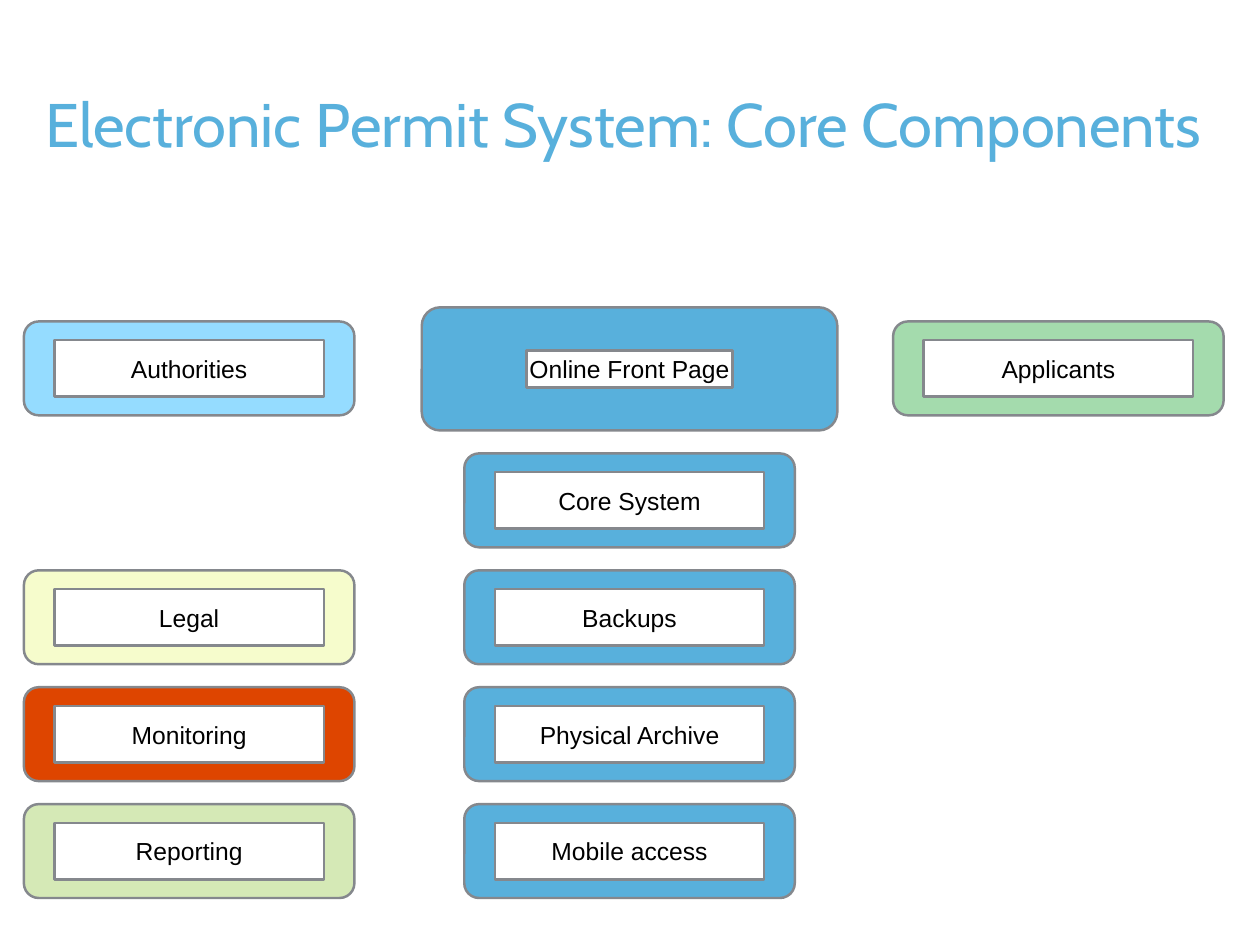
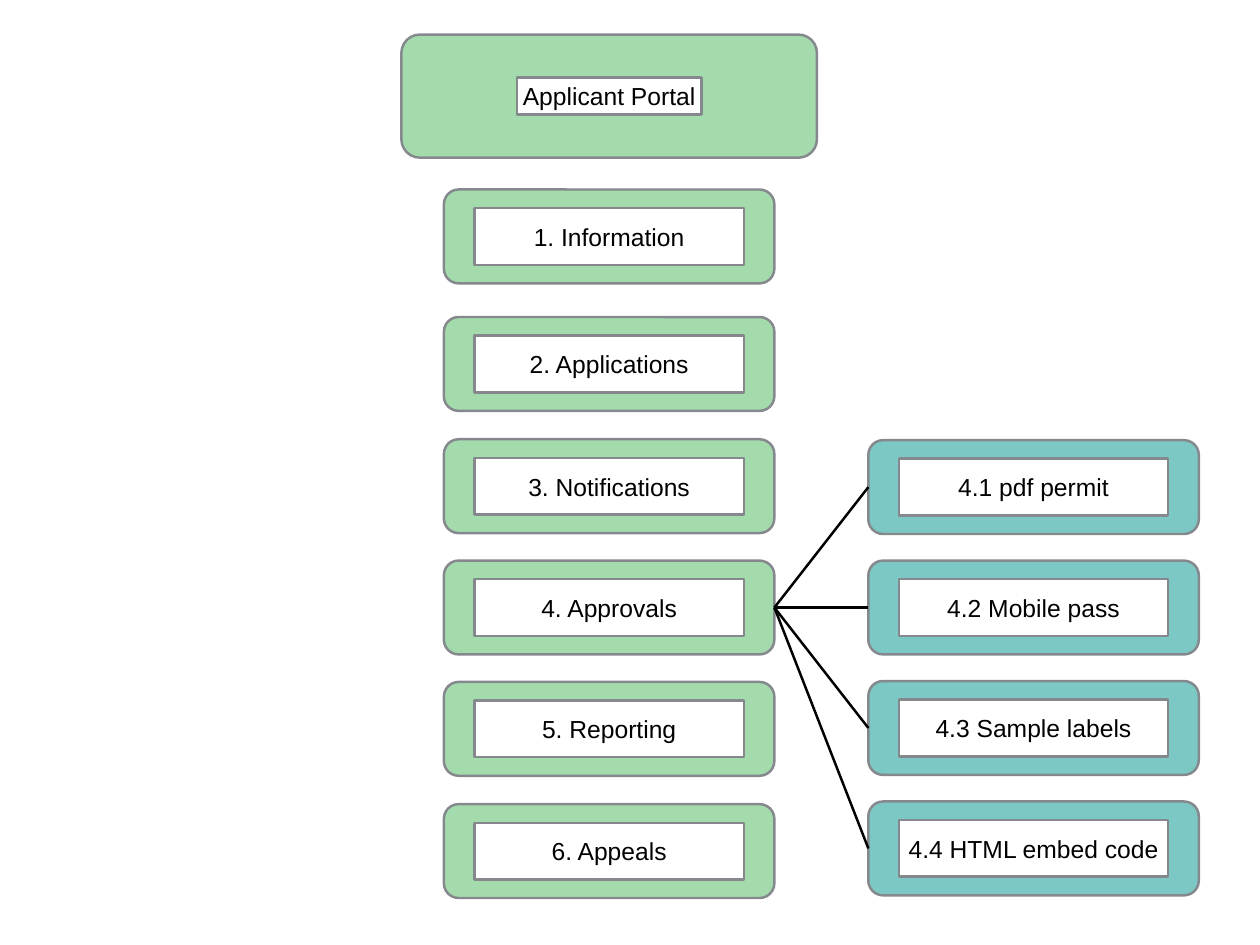
from lxml import etree
from pptx import Presentation
from pptx.dml.color import RGBColor
from pptx.enum.shapes import MSO_CONNECTOR, MSO_SHAPE
from pptx.enum.text import MSO_ANCHOR, PP_ALIGN
from pptx.oxml.ns import qn
from pptx.util import Inches, Pt

RECT, ROUND = MSO_SHAPE.RECTANGLE, MSO_SHAPE.ROUNDED_RECTANGLE
STRAIGHT = MSO_CONNECTOR.STRAIGHT
LEFT, CENTER, MIDDLE = PP_ALIGN.LEFT, PP_ALIGN.CENTER, MSO_ANCHOR.MIDDLE
LEFT_SIDE, RIGHT_SIDE = 1, 3

BLUE, SKY, GREEN, TEAL = "58B0DC", "95DCFF", "A4DBAD", "7BC8C5"
CREAM, ORANGE, LIME = "F6FCCC", "DE4500", "D5E9B6"
GREY, WHITE, BLACK = "85888D", "FFFFFF", "000000"


def rgb(value):
    return RGBColor.from_string(value)


class Deck:
    """Holds the shared style and the current slide."""

    BODY_FONT, TITLE_FONT = "Arial", "Cabin"
    BODY_SIZE, TITLE_SIZE, LINE_WIDTH = 20, 50, 2
    INSET = 0.03
    CARD = (3.73, 1.06)
    CARD_LABEL = (3.04, 0.64)
    BANNER = (4.69, 1.39)

    def __init__(self, width, height):
        self.prs = Presentation()
        self.prs.slide_width, self.prs.slide_height = Inches(width), Inches(height)
        self.s = None

    def new_slide(self):
        self.s = self.prs.slides.add_slide(self.prs.slide_layouts[6])

    def set_text(self, sp, text, font, size, color, align, wrap):
        tf = sp.text_frame
        tf.word_wrap = wrap
        tf.vertical_anchor = MIDDLE
        tf.margin_left = tf.margin_right = Inches(self.INSET)
        tf.margin_top = tf.margin_bottom = Inches(self.INSET)
        p = tf.paragraphs[0]
        p.text = text
        p.alignment = align
        r = p.runs[0]
        r.font.name, r.font.size = font, Pt(size)
        r.font.color.rgb = rgb(color)
        return p

    def title(self, text, x, y, w, h):
        sp = self.s.shapes.add_textbox(Inches(x), Inches(y), Inches(w), Inches(h))
        p = self.set_text(sp, text, self.TITLE_FONT, self.TITLE_SIZE, BLUE, LEFT, False)
        p.line_spacing = 0.9

    def outlined(self, shapes, kind, x, y, w, h, fill):
        sp = shapes.add_shape(kind, Inches(x), Inches(y), Inches(w), Inches(h))
        sp.shadow.inherit = False
        sp.fill.solid()
        sp.fill.fore_color.rgb = rgb(fill)
        sp.line.color.rgb = rgb(GREY)
        sp.line.width = Pt(self.LINE_WIDTH)
        return sp

    def framed_label(self, text, x, y, size, label_size, fill, corner, wrap):
        """A rounded frame with a white label centred in it."""
        shapes = self.s.shapes.add_group_shape().shapes
        (w, h), (lw, lh) = size, label_size
        frame = self.outlined(shapes, ROUND, x, y, w, h, fill)
        frame.adjustments[0] = corner
        label = self.outlined(shapes, RECT, x + (w - lw) / 2, y + (h - lh) / 2,
                              lw, lh, WHITE)
        self.set_text(label, text, self.BODY_FONT, self.BODY_SIZE, BLACK, CENTER, wrap)
        return frame

    def card(self, text, x, y, fill):
        return self.framed_label(text, x, y, self.CARD, self.CARD_LABEL,
                                 fill, 0.157, True)

    def banner(self, text, x, y, label_width, fill):
        return self.framed_label(text, x, y, self.BANNER, (label_width, 0.42),
                                 fill, 0.15, False)

    def link(self, start, end):
        cx = self.s.shapes.add_connector(STRAIGHT, 0, 0, 0, 0)
        cx.begin_connect(start, RIGHT_SIDE)
        cx.end_connect(end, LEFT_SIDE)
        cx.line.color.rgb = rgb(BLACK)
        cx.line.width = Pt(self.LINE_WIDTH)
        etree.SubElement(cx._element.spPr, qn("a:effectLst"))


def core_components(deck):
    deck.new_slide()
    deck.title("Electronic Permit System: Core Components", 0.48, 0.99, 13.74, 0.89)
    left, middle, right = 0.27, 5.24, 10.08
    first_row, step = 5.12, 1.32

    # Top row
    deck.banner("Online Front Page", 4.76, 3.47, 2.33, BLUE)
    deck.card("Authorities", left, 3.63, SKY)
    deck.card("Applicants", right, 3.63, GREEN)

    # System column
    system = ["Core System", "Backups", "Physical Archive", "Mobile access"]
    for i, text in enumerate(system):
        deck.card(text, middle, first_row + i * step, BLUE)

    # Authority column, starting one row lower
    duties = [("Legal", CREAM), ("Monitoring", ORANGE), ("Reporting", LIME)]
    for i, (text, fill) in enumerate(duties, 1):
        deck.card(text, left, first_row + i * step, fill)


def applicant_portal(deck):
    deck.new_slide()
    deck.banner("Applicant Portal", 4.53, 0.39, 2.08, GREEN)

    # Portal steps
    steps = [("1. Information", 2.14), ("2. Applications", 3.58),
             ("3. Notifications", 4.96), ("4. Approvals", 6.33),
             ("5. Reporting", 7.7), ("6. Appeals", 9.08)]
    cards = {text: deck.card(text, 5.01, y, GREEN) for text, y in steps}

    # Forms of approval
    forms = ["4.1 pdf permit", "4.2 Mobile pass", "4.3 Sample labels",
             "4.4 HTML embed code"]
    for i, text in enumerate(forms):
        form = deck.card(text, 9.8, 4.97 + i * 1.36, TEAL)
        deck.link(cards["4. Approvals"], form)


def main():
    deck = Deck(14.22, 10.67)
    core_components(deck)
    applicant_portal(deck)
    deck.prs.save("out.pptx")


if __name__ == "__main__":
    main()
